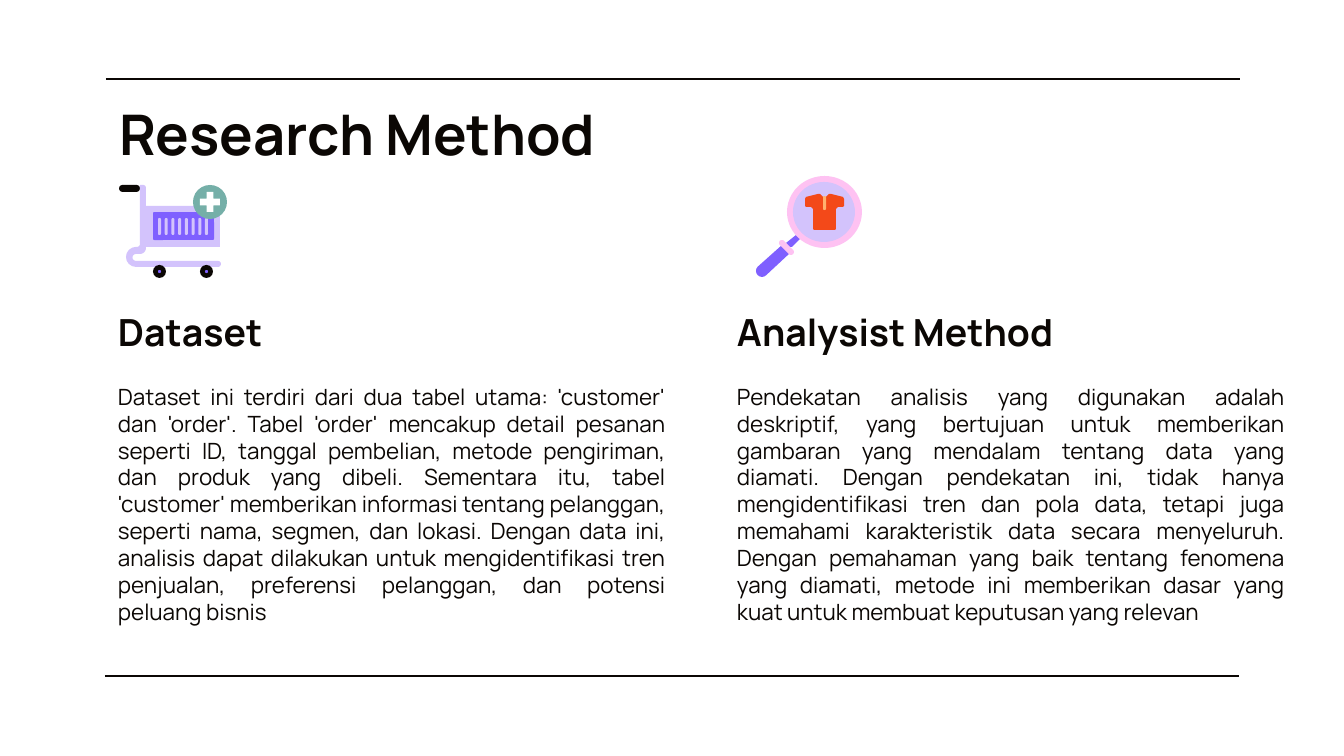
import math
import pptx
import pptx.dml.color
import pptx.enum.shapes
import pptx.enum.text
import pptx.oxml
import pptx.util

PX = 914400 / 134.4  # EMU in one px
KIND = pptx.enum.shapes.MSO_SHAPE
ALIGN = pptx.enum.text.PP_ALIGN
ANCHOR = pptx.enum.text.MSO_ANCHOR

THEME = {
    "font": "Manrope",
    "ink": "0B0704", "white": "FFFFFF", "pale": "D3C3FC", "plum": "7F60FF",
    "teal": "75AFA8", "pink": "FEC2F2", "red": "F34919", "sand": "FFB26F",
    "title": 30, "head": 20, "body": 12, "rule": 1.5,
}
PAD = 13
TEXT = {
    "title": {"size": "title", "bold": True, "align": ALIGN.LEFT, "anchor": ANCHOR.TOP},
    "head": {"size": "head", "bold": True, "align": ALIGN.LEFT, "anchor": ANCHOR.BOTTOM},
    "body": {"size": "body", "bold": False, "align": ALIGN.JUSTIFY, "anchor": ANCHOR.TOP},
}


def emu(px):
    return pptx.util.Emu(round(px * PX))


def tint(name):
    return pptx.dml.color.RGBColor.from_string(THEME[name])


def apply(item, vals):
    for key, val in vals.items():
        setattr(item, key, val)


def write(shape, text, style):
    """Fill a text shape in one of the TEXT styles."""
    look = TEXT[style]
    frame = shape.text_frame
    frame.text = text
    pad = {f"margin_{side}": emu(PAD) for side in ("left", "top", "right", "bottom")}
    apply(frame, pad | {"word_wrap": True, "vertical_anchor": look["anchor"],
                        "auto_size": pptx.enum.text.MSO_AUTO_SIZE.NONE})
    para = frame.paragraphs[0]
    apply(para, {"alignment": look["align"], "line_spacing": 1.0,
                 "space_before": pptx.util.Pt(0)})
    font = para.runs[0].font
    apply(font, {"name": THEME["font"], "size": pptx.util.Pt(THEME[look["size"]]),
                 "bold": look["bold"]})
    font.color.rgb = tint("ink")


def paint(shape, color):
    shape.shadow.inherit = False
    shape.fill.solid()
    shape.fill.fore_color.rgb = tint(color)
    shape.line.fill.background()


def arc(x, y, r, start, end, steps=8):
    """Points along an arc, in degrees, clockwise from the right."""
    turns = [math.radians(start + (end - start) * i / steps) for i in range(steps + 1)]
    return [(x + r * math.cos(t), y + r * math.sin(t)) for t in turns]


def draw(group, left, top, parts):
    """Draw preset parts (kind, color, box, adjust) and outlines (None, color, points)."""
    for kind, color, data, *adj in parts:
        if kind is None:
            spots = [(emu(left + x), emu(top + y)) for x, y in data]
            pen = group.shapes.build_freeform(*spots[0])
            pen.add_line_segments(spots[1:], close=True)
            shape = pen.convert_to_shape()
        else:
            x, y, w, h = data
            shape = group.shapes.add_shape(kind, emu(left + x), emu(top + y), emu(w), emu(h))
            if adj:
                shape.adjustments[0] = adj[0]
        paint(shape, color)


def cart(slide, left, top):
    """Shopping cart with a plus badge."""
    frame = ([(21, 0), (21, 59)] + arc(18, 59, 3, 0, 90) + arc(17, 72, 10, 270, 90)
             + arc(99, 79, 3, 90, -90) + arc(17, 72.5, 3.5, 90, 270)
             + arc(21, 63, 6, 90, 0) + arc(24, 3, 3, 0, -90))
    parts = [
        (KIND.ROUNDED_RECTANGLE, "ink", (0, 0, 21, 7), 0.5),
        (KIND.RECTANGLE, "pale", (25, 21, 76, 41)),
        (None, "pale", frame),
        (KIND.ROUNDED_RECTANGLE, "plum", (34, 27, 61, 28), 0.05),
    ]
    # Basket bars
    parts += [(KIND.ROUNDED_RECTANGLE, "pale", (39 + i * 47 / 7, 33, 3, 17), 0.5)
              for i in range(8)]
    # Badge
    parts += [(KIND.OVAL, "teal", (74, 0, 34, 34)),
              (KIND.CROSS, "white", (81, 7, 20, 20), 0.33)]
    # Wheels with hubs
    for x in (34, 81):
        parts += [(KIND.OVAL, "ink", (x, 80, 13, 13)),
                  (KIND.OVAL, "plum", (x + 5, 85, 3, 3))]
    draw(slide.shapes.add_group_shape(), left, top, parts)


def lens(slide, left, top):
    """Magnifier over a shirt."""
    grip = [(25, 70)] + arc(6, 95, 6, 225, 45) + [(33, 78), (31, 74), (27, 70)]
    neck = [(40, 59), (30, 67), (33, 71), (36, 71), (44, 63), (44, 59)]
    band = arc(26, 67, 3, 315, 135) + arc(35, 76, 3, 135, -45)
    # Right half of the shirt, mirrored about its centre line
    half = [(69, 22), (73, 18), (75, 18), (87, 21), (88, 23), (88, 30), (87, 31),
            (82, 31), (80, 33), (80, 53), (79, 54)]
    shirt = half + [(137 - x, y) for x, y in reversed(half)]
    draw(slide.shapes.add_group_shape(), left, top, [
        (None, "plum", grip),
        (None, "plum", neck),
        (KIND.OVAL, "pink", (31, 0, 75, 72)),
        (KIND.OVAL, "pale", (37, 6, 62, 60)),
        (None, "pink", band),
        (None, "red", shirt),
        (KIND.ROUNDED_RECTANGLE, "sand", (67, 20, 3, 14), 0.5),
    ])


def rule(slide, left, top, width):
    """Horizontal line across the slide."""
    line = slide.shapes.add_connector(pptx.enum.shapes.MSO_CONNECTOR.STRAIGHT,
                                      emu(left), emu(top), emu(left + width), emu(top))
    line.line.color.rgb = tint("ink")
    line.line.width = pptx.util.Pt(THEME["rule"])
    props = line._element.spPr
    props.append(props.makeelement(pptx.oxml.ns.qn("a:effectLst"), {}))


def header(slide, left, top, width, height, text):
    """Slide title."""
    title = slide.shapes.title
    apply(title, {"left": emu(left), "top": emu(top),
                  "width": emu(width), "height": emu(height)})
    write(title, text, "title")


def column(slide, left, top, width, head, body):
    """Heading above a justified paragraph."""
    for style, text, drop, high in (("head", head, 0, 71), ("body", body, 74, 222)):
        box = slide.shapes.add_textbox(emu(left), emu(top + drop), emu(width), emu(high))
        write(box, text, style)


COLUMNS = [
    (105, "Dataset",
     "Dataset ini terdiri dari dua tabel utama: 'customer' dan 'order'. Tabel 'order' "
     "mencakup detail pesanan seperti ID, tanggal pembelian, metode pengiriman, dan produk "
     "yang dibeli. Sementara itu, tabel 'customer' memberikan informasi tentang pelanggan, "
     "seperti nama, segmen, dan lokasi. Dengan data ini, analisis dapat dilakukan untuk "
     "mengidentifikasi tren penjualan, preferensi pelanggan, dan potensi peluang bisnis"),
    (724, "Analysist Method",
     "Pendekatan analisis yang digunakan adalah deskriptif, yang bertujuan untuk memberikan "
     "gambaran yang mendalam tentang data yang diamati. Dengan pendekatan ini, tidak hanya "
     "mengidentifikasi tren dan pola data, tetapi juga memahami karakteristik data secara "
     "menyeluruh. Dengan pemahaman yang baik tentang fenomena yang diamati, metode ini "
     "memberikan dasar yang kuat untuk membuat keputusan yang relevan"),
]


def main():
    deck = pptx.Presentation()
    apply(deck, {"slide_width": emu(1344), "slide_height": emu(756)})
    slide = deck.slides.add_slide(deck.slide_layouts[5])
    rule(slide, 106, 79, 1134)
    rule(slide, 105, 676, 1134)
    header(slide, 106, 87, 1133, 85, "Research Method")
    for left, head, body in COLUMNS:
        column(slide, left, 296, 574, head, body)
    cart(slide, 119, 185)
    lens(slide, 756, 176)
    deck.save("out.pptx")


if __name__ == "__main__":
    main()
